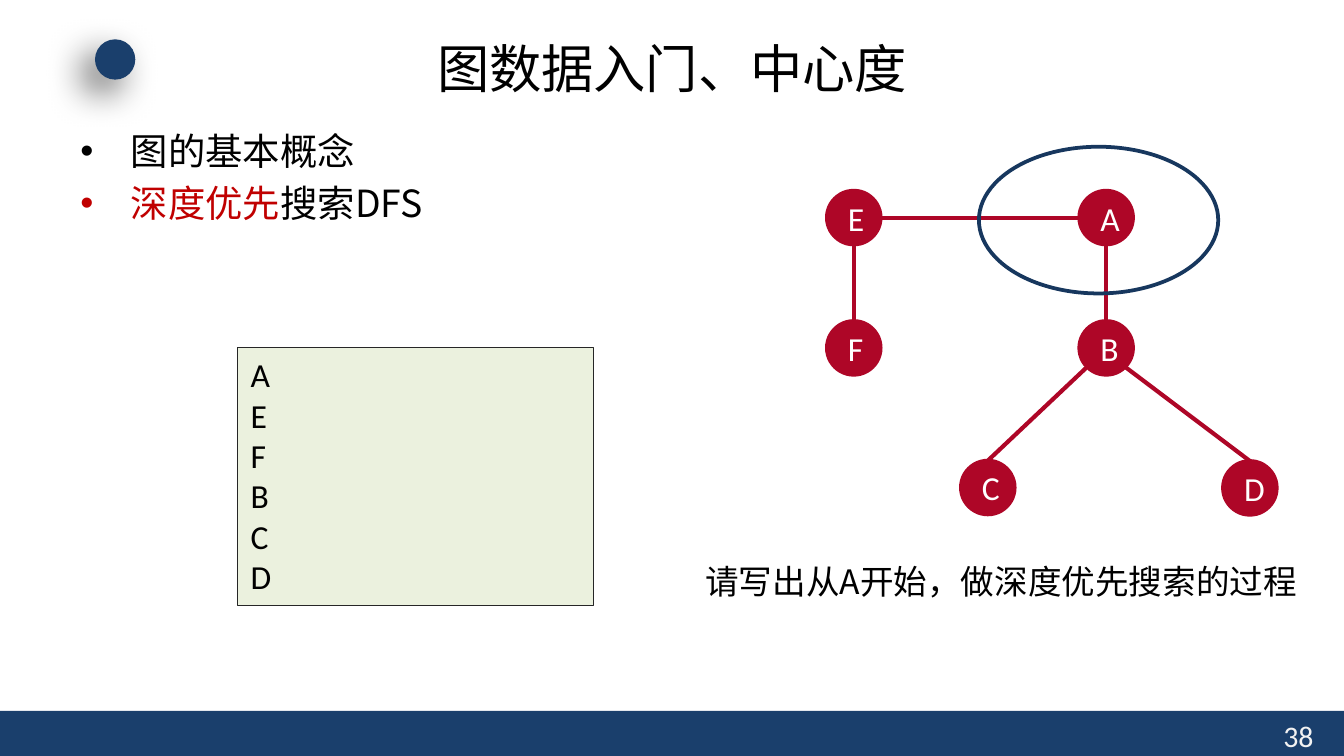
from dataclasses import dataclass

from lxml import etree
from pptx import Presentation
from pptx import util as u
from pptx.dml.color import RGBColor
from pptx.enum import shapes, text
from pptx.oxml import ns

Pt = u.Pt


@dataclass(frozen=True)
class Theme:
    navy: str = "1A3F6C"
    outline: str = "17375E"
    crimson: str = "AE0627"
    accent: str = "C00000"
    pale: str = "EBF1DE"
    ink: str = "000000"
    border: str = "262626"
    white: str = "FFFFFF"
    page: str = "F2F2F2"
    latin: str = "Calibri"
    chinese: str = "Noto Sans CJK SC"
    title_size: int = 28
    bullet_size: int = 20
    body_size: int = 18
    page_size: int = 16


def child(parent, tag, **attributes):
    return etree.SubElement(parent, ns.qn(tag), **attributes)


class SlideBuilder:
    def __init__(self, slide, theme):
        self.slide = slide
        self.theme = theme

    def run(self, paragraph, words, size, color, font):
        run = paragraph.add_run()
        run.text = words
        run.font.size = Pt(size)
        run.font.color.rgb = RGBColor.from_string(color)
        run.font.name = font
        child(run._r.get_or_add_rPr(), "a:ea", typeface=font)

    def shape(self, kind, box, fill=None, line=None, width=2):
        shape = self.slide.shapes.add_shape(kind, *map(Pt, box))
        shape.shadow.inherit = False
        if fill:
            shape.fill.solid()
            shape.fill.fore_color.rgb = RGBColor.from_string(fill)
        else:
            shape.fill.background()
        if line:
            shape.line.color.rgb = RGBColor.from_string(line)
            shape.line.width = Pt(width)
        else:
            shape.line.fill.background()
        return shape

    def soft_shadow(self, shape, blur, distance, angle, opacity):
        effects = shape._element.spPr.find(ns.qn("a:effectLst"))
        shadow = child(effects, "a:outerShdw", blurRad=str(Pt(blur)),
                       dist=str(Pt(distance)), dir=str(angle * 60000),
                       algn="ctr", rotWithShape="0")
        color = child(shadow, "a:srgbClr", val=self.theme.ink)
        child(color, "a:alpha", val=str(opacity * 1000))

    def frame(self, box):
        frame = self.slide.shapes.add_textbox(*map(Pt, box)).text_frame
        frame.word_wrap = True
        return frame

    def label(self, box, words, size, color, font, align=text.PP_ALIGN.LEFT,
              anchor=text.MSO_ANCHOR.TOP, leading=None):
        frame = self.frame(box)
        frame.vertical_anchor = anchor
        paragraph = frame.paragraphs[0]
        paragraph.alignment = align
        if leading:
            paragraph.line_spacing = Pt(leading)
        self.run(paragraph, words, size, color, font)

    def bullets(self, box, items):
        size = self.theme.bullet_size
        frame = self.frame(box)
        for index, parts in enumerate(items):
            paragraph = frame.add_paragraph() if index else frame.paragraphs[0]
            properties = paragraph._p.get_or_add_pPr()
            properties.set("marL", str(Pt(27)))
            properties.set("indent", str(Pt(-27)))
            child(child(properties, "a:buClr"), "a:srgbClr", val=parts[0][1])
            child(properties, "a:buFont", typeface="Arial")
            child(properties, "a:buChar", char="•")
            paragraph.line_spacing = Pt(1.2 * size)
            if index:
                paragraph.space_before = Pt(0.2 * size)
            for words, color in parts:
                self.run(paragraph, words, size, color, self.theme.chinese)

    def node(self, name, center, radius):
        x, y = center
        node = self.shape(shapes.MSO_SHAPE.OVAL,
                          (x - radius, y - radius, 2 * radius, 2 * radius),
                          self.theme.crimson, self.theme.crimson)
        node.text_frame.vertical_anchor = text.MSO_ANCHOR.MIDDLE
        paragraph = node.text_frame.paragraphs[0]
        paragraph.alignment = text.PP_ALIGN.CENTER
        self.run(paragraph, name, self.theme.body_size, self.theme.white, self.theme.latin)

    def edge(self, start, end):
        edge = self.slide.shapes.add_connector(
            shapes.MSO_CONNECTOR.STRAIGHT, *map(Pt, start + end))
        edge.line.color.rgb = RGBColor.from_string(self.theme.crimson)
        edge.line.width = Pt(2.25)
        child(edge._element.spPr, "a:effectLst")

    def answer_list(self, box, names):
        panel = self.shape(shapes.MSO_SHAPE.RECTANGLE, box,
                           self.theme.pale, self.theme.border, 0.75)
        frame = panel.text_frame
        frame.vertical_anchor = text.MSO_ANCHOR.TOP
        for index, name in enumerate(names):
            paragraph = frame.add_paragraph() if index else frame.paragraphs[0]
            paragraph.alignment = text.PP_ALIGN.LEFT
            self.run(paragraph, name, self.theme.body_size, self.theme.ink, self.theme.latin)


def main():
    theme = Theme()
    deck = Presentation()
    deck.slide_width, deck.slide_height = Pt(720), Pt(405)
    page = SlideBuilder(deck.slides.add_slide(deck.slide_layouts[6]), theme)

    # Footer bar, page number and corner dot
    page.shape(shapes.MSO_SHAPE.RECTANGLE, (0, 380.9, 720, 24.1), theme.navy)
    page.label((680.4, 380.9, 36, 21.6), "38", theme.page_size, theme.page, theme.latin)
    dot = page.shape(shapes.MSO_SHAPE.OVAL, (50.9, 21.1, 21.6, 21.6), theme.navy)
    page.soft_shadow(dot, blur=20, distance=10, angle=135, opacity=60)

    # Title and topics
    page.label((36, 16.5, 648, 39.6), "图数据入门、中心度", theme.title_size, theme.ink,
               theme.chinese, text.PP_ALIGN.CENTER, text.MSO_ANCHOR.MIDDLE)
    page.bullets((36, 65, 648, 310), [
        [("图的基本概念", theme.ink)],
        [("深度优先", theme.accent), ("搜索DFS", theme.ink)],
    ])

    # Graph: node centres, and edges between points on the node rims
    radius = 14.4
    centers = {"E": (457.4, 116.6), "A": (592.6, 116.6),
               "F": (457.4, 186.4), "B": (592.6, 186.4),
               "C": (529.2, 261.2), "D": (669.6, 261.4)}
    rim = {"top": (0, -1), "bottom": (0, 1), "left": (-1, 0), "right": (1, 0),
           "lower left": (-0.71, 0.71), "lower right": (0.71, 0.71)}
    edges = [("A", "left", "E", "right"), ("F", "top", "E", "bottom"),
             ("B", "top", "A", "bottom"), ("B", "lower left", "C", "top"),
             ("B", "lower right", "D", "top")]

    def rim_point(name, side):
        return tuple(c + radius * d for c, d in zip(centers[name], rim[side]))

    for source, source_side, target, target_side in edges:
        page.edge(rim_point(source, source_side), rim_point(target, target_side))
    for name, center in centers.items():
        page.node(name, center, radius)

    # Task, start marker and visiting order
    page.label((370.8, 296.8, 336.2, 50), "请写出从A开始，做深度优先搜索的过程",
               theme.body_size, theme.ink, theme.chinese, leading=1.2 * theme.body_size)
    page.shape(shapes.MSO_SHAPE.OVAL, (524.4, 78.6, 128.2, 78.6), line=theme.outline)
    page.answer_list((127.2, 186.3, 190.8, 138), "AEFBCD")

    deck.save("out.pptx")


if __name__ == "__main__":
    main()
